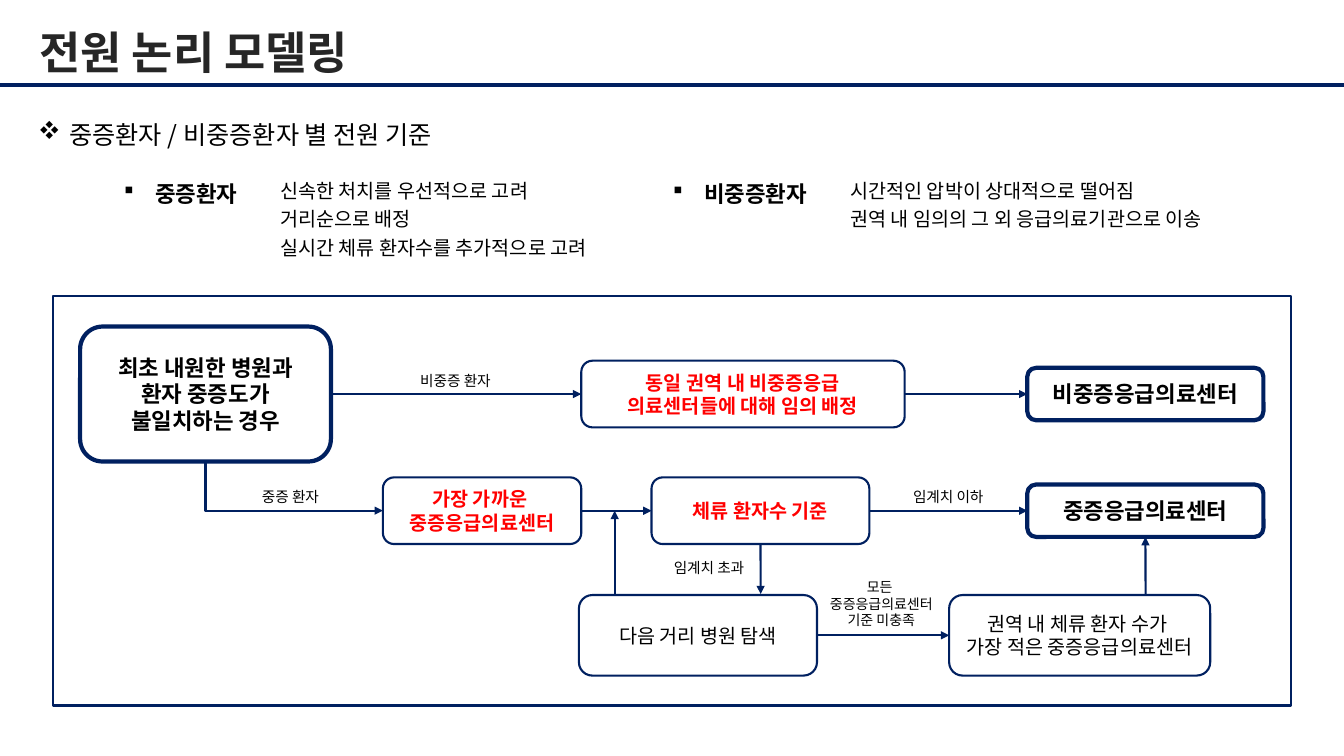
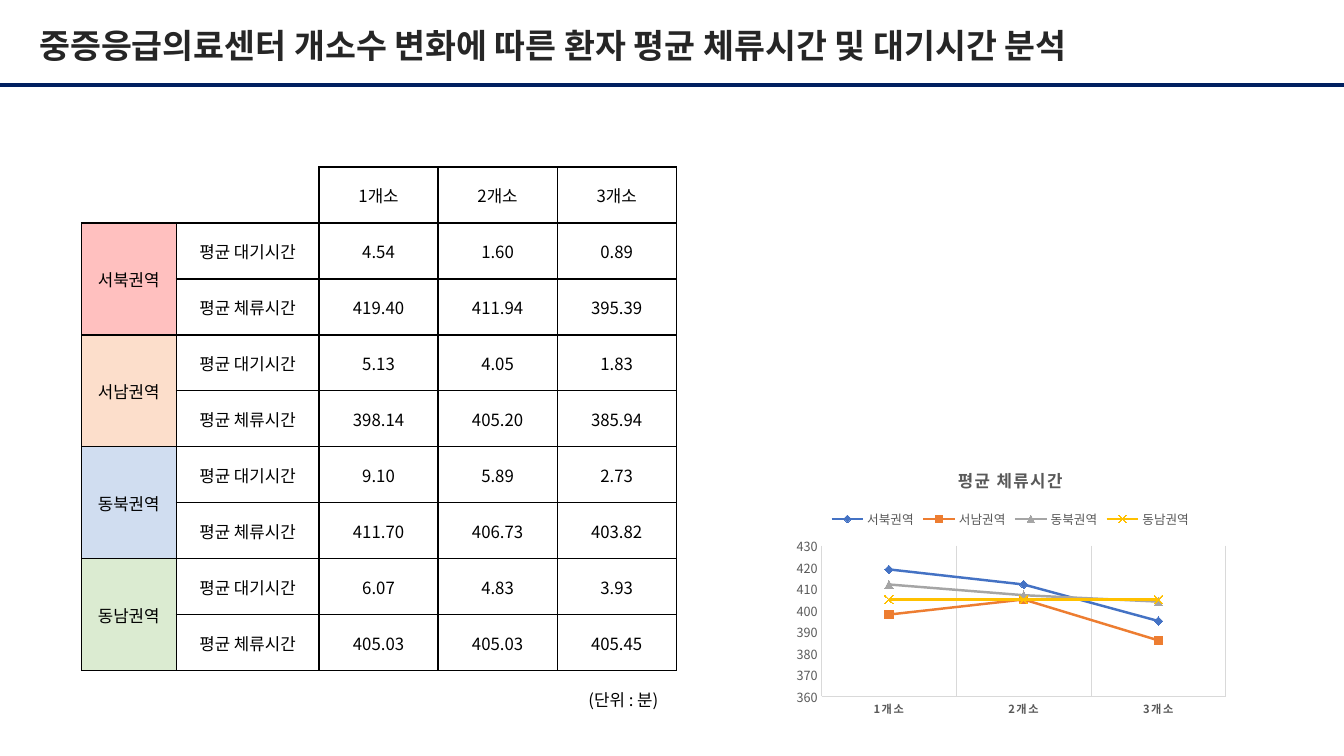
from lxml.etree import SubElement
from pptx import Presentation
from pptx.chart.data import CategoryChartData
from pptx.dml.color import RGBColor
from pptx.enum.chart import (XL_CHART_TYPE as CT, XL_LEGEND_POSITION as LP,
                             XL_MARKER_STYLE as MS, XL_TICK_MARK as TM)
from pptx.enum.shapes import MSO_CONNECTOR as MC, MSO_SHAPE as MSH
from pptx.enum.text import MSO_ANCHOR as MA, PP_ALIGN as PA
from pptx.oxml.ns import qn
from pptx.util import Cm, Pt

# Shared style
W, H = 33.87, 19.05
COLORS = {"navy": "002060", "title": "262626", "black": "000000", "red": "FF0000",
          "grey": "595959", "rule": "D9D9D9", "northwest": "FFC0BF",
          "southwest": "FCDECB", "northeast": "D0DDF0", "southeast": "DBEBD1",
          "blue": "4472C4", "orange": "ED7D31", "silver": "A5A5A5", "gold": "FFC000"}
FONT, TITLE_FONT, BULLET_FONT = "Noto Sans CJK KR", "Calibri", "Wingdings"
DIAMONDS, SQUARE = "v", "§"  # bullet codes in the symbol font
TOP, LEFT, BOTTOM, RIGHT = range(4)

# Slide 1: criteria as (left, top, width, text, size, bold, bullet, indent)
CRITERIA_TITLE = "전원 논리 모델링"
CRITERIA = [
    (0.71, 2.72, 32.6, "중증환자 / 비중증환자 별 전원 기준", 18, False, DIAMONDS, 0.79),
    (1.6, 4.27, 14.4, "중증환자", 16, True, SQUARE, 2.06),
    (15.44, 4.27, 14.4, "비중증환자", 16, True, SQUARE, 2.06),
    (6.81, 4.27, 9.2, "신속한 처치를 우선적으로 고려\n거리순으로 배정\n"
     "실시간 체류 환자수를 추가적으로 고려", 14, False, None, 0),
    (21.18, 4.27, 10.9, "시간적인 압박이 상대적으로 떨어짐\n"
     "권역 내 임의의 그 외 응급의료기관으로 이송", 14, False, None, 0),
]
FRAME = (1.34, 7.46, 31.2, 10.32)

# Flow rows (centre lines) and box kinds: height, line, size, colour, bold
UPPER, MIDDLE, LOWER = 9.93, 12.87, 16.01
KINDS = {"start": (3.4, 3, 16, "black", True), "end": (1.32, 3, 16, "black", True),
         "rule": (1.68, 1.5, 14, "red", True), "search": (2.03, 1.5, 14, "black", False)}
BOXES = {  # name: (kind, left, row, width, text)
    "start": ("start", 2.02, UPPER, 6.32, "최초 내원한 병원과 환자 중증도가\n불일치하는 경우"),
    "random": ("rule", 14.65, UPPER, 8.15, "동일 권역 내 비중증응급\n의료센터들에 대해 임의 배정"),
    "minor": ("end", 25.89, UPPER, 5.95, "비중증응급의료센터"),
    "nearest": ("rule", 9.65, MIDDLE, 5.0, "가장 가까운 \n중증응급의료센터"),
    "count": ("rule", 16.42, MIDDLE, 5.49, "체류 환자수 기준"),
    "major": ("end", 25.89, MIDDLE, 5.95, "중증응급의료센터"),
    "next": ("search", 14.59, LOWER, 6.0, "다음 거리 병원 탐색"),
    "fewest": ("search", 23.92, LOWER, 6.58, "권역 내 체류 환자 수가 \n가장 적은 중증응급의료센터"),
}
LABELS = [  # centre x, centre y, width, text, size
    (11.48, 9.6, 3.35, "비중증 환자", 10.5), (7.32, 12.52, 3.35, "중증 환자", 10.5),
    (23.9, 12.52, 3.35, "임계치 이하", 10.5), (17.87, 14.3, 3.84, "임계치 초과", 10.5),
    (22.21, 15.21, 3.84, "모든 \n중증응급의료센터 기준 미충족", 10),
]
LABEL_H = 1.32
ARROWS = [  # an end is (box, side) or a point
    (("start", RIGHT), ("random", LEFT)), (("random", RIGHT), ("minor", LEFT)),
    (("nearest", RIGHT), ("count", LEFT)), (("count", RIGHT), ("major", LEFT)),
    (("next", RIGHT), ("fewest", LEFT)), (("count", BOTTOM), (19.17, 14.97)),
    ((15.49, 14.98), (15.49, MIDDLE)), ((28.87, 14.98), ("major", BOTTOM)),
]

# Slide 2: table and chart
ANALYSIS_TITLE = "중증응급의료센터 개소수 변화에 따른 환자 평균 체류시간 및 대기시간 분석"
COUNTS = ["1개소", "2개소", "3개소"]
MEASURES = ["평균 대기시간", "평균 체류시간"]
REGIONS = [  # name, cell colour, waiting, stay, line colour, marker
    ("서북권역", "northwest", (4.54, 1.60, 0.89), (419.40, 411.94, 395.39),
     "blue", MS.DIAMOND),
    ("서남권역", "southwest", (5.13, 4.05, 1.83), (398.14, 405.20, 385.94),
     "orange", MS.SQUARE),
    ("동북권역", "northeast", (9.10, 5.89, 2.73), (411.70, 406.73, 403.82),
     "silver", MS.TRIANGLE),
    ("동남권역", "southeast", (6.07, 4.83, 3.93), (405.03, 405.03, 405.45),
     "gold", MS.X),
]
COL_W, ROW_H = [2.39, 3.6, 3.0, 3.0, 3.0], 1.41
UNIT = "(단위 : 분)"
NO_STYLE = "{2D5ABB26-0587-4C30-8999-92F81FD0307C}"


def rgb(name):
    return RGBColor.from_string(COLORS[name])


def cms(*lengths):
    return [Cm(v) for v in lengths]


def set_font(font, size, color="black", bold=False, name=FONT):
    font.size, font.bold, font.name = Pt(size), bold, name
    font.color.rgb = rgb(color)


def write(p, text, *style):
    for i, line in enumerate(text.split("\n")):
        if i:
            p.add_line_break()
        r = p.add_run()
        r.text = line
        set_font(r.font, *style)


def add_text(slide, box, text, *style):
    tf = slide.shapes.add_textbox(*cms(*box)).text_frame
    tf.word_wrap = True
    write(tf.paragraphs[0], text, *style)
    return tf


def add_box(slide, preset, box, width=None):
    sp = slide.shapes.add_shape(preset, *cms(*box))
    sp.shadow.inherit = False
    sp.fill.background()
    if width:
        sp.line.color.rgb, sp.line.width = rgb("navy"), Pt(width)
    else:
        sp.line.fill.background()
    return sp


def add_round_box(slide, box, width, text, *style):
    sp = add_box(slide, MSH.ROUNDED_RECTANGLE, box, width)
    tf = sp.text_frame
    tf.word_wrap, tf.vertical_anchor = True, MA.MIDDLE
    tf.paragraphs[0].alignment = PA.CENTER
    write(tf.paragraphs[0], text, *style)
    return sp


def add_line(slide, start, end, width=1.5, arrow=None, kind=MC.STRAIGHT):
    cx = slide.shapes.add_connector(kind, *cms(*start, *end))
    cx.line.color.rgb, cx.line.width = rgb("navy"), Pt(width)
    spPr = cx._element.spPr
    if arrow:
        SubElement(spPr.find(qn("a:ln")), qn(arrow)).set("type", "triangle")
    SubElement(spPr, qn("a:effectLst"))
    return cx


def new_slide(prs, title, size):
    slide = prs.slides.add_slide(prs.slide_layouts[6])
    add_text(slide, (0.74, 0.51, 32.6, 1.6), title, size, "title", True, TITLE_FONT)
    add_line(slide, (0, 2.14), (W, 2.14), 3)
    return slide


def side_point(name, side):
    kind, x, cy, w, _ = BOXES[name]
    h = KINDS[kind][0]
    return [(x + w / 2, cy - h / 2), (x, cy), (x + w / 2, cy + h / 2), (x + w, cy)][side]


def join(slide, shapes, start, end, **look):
    ends = [side_point(*e) if e[0] in BOXES else e for e in (start, end)]
    cx = add_line(slide, *ends, **look)
    for e, connect in ((start, cx.begin_connect), (end, cx.end_connect)):
        if e[0] in BOXES:
            connect(shapes[e[0]], e[1])
    return cx


def build_criteria(prs):
    slide = new_slide(prs, CRITERIA_TITLE, 32)
    for x, y, w, text, size, bold, bullet, indent in CRITERIA:
        p = add_text(slide, (x, y, w, 1.1), text, size, "black", bold).paragraphs[0]
        if bullet:
            pPr = p._p.get_or_add_pPr()
            pPr.set("marL", str(Cm(indent)))
            pPr.set("indent", str(-Cm(0.79)))
            SubElement(pPr, qn("a:buFont"), typeface=BULLET_FONT, charset="2")
            SubElement(pPr, qn("a:buChar")).set("char", bullet)
        p.line_spacing = 1.2
    add_box(slide, MSH.RECTANGLE, FRAME, 1.5)

    # Flow boxes
    shapes = {}
    for name, (kind, x, cy, w, text) in BOXES.items():
        h, line, *style = KINDS[kind]
        shapes[name] = add_round_box(slide, (x, cy - h / 2, w, h), line, text, *style)

    # Arrows; the bent one is drawn from its tip
    for start, end in ARROWS:
        join(slide, shapes, start, end, arrow="a:tailEnd")
    bent = join(slide, shapes, ("nearest", LEFT), ("start", BOTTOM),
                arrow="a:headEnd", kind=MC.ELBOW)
    bent._element.spPr.find(qn("a:prstGeom")).set("prst", "bentConnector2")

    for cx, cy, w, text, size in LABELS:
        add_round_box(slide, (cx - w / 2, cy - LABEL_H / 2, w, LABEL_H), None, text, size)


def fill_cell(cell, text="", color=None, sides="LRTB"):
    cell.margin_left = cell.margin_right = cell.margin_top = Cm(0.03)
    cell.margin_bottom = 0
    cell.vertical_anchor = MA.MIDDLE
    tcPr = cell._tc.get_or_add_tcPr()
    for side in sides:
        ln = SubElement(tcPr, qn("a:ln" + side), w=str(Pt(1)))
        SubElement(SubElement(ln, qn("a:solidFill")), qn("a:srgbClr")).set("val", COLORS["black"])
    if color:
        cell.fill.solid()
        cell.fill.fore_color.rgb = rgb(color)
    else:
        cell.fill.background()
    if text:
        cell.text_frame.paragraphs[0].alignment = PA.CENTER
        write(cell.text_frame.paragraphs[0], text, 12)


def build_table(slide):
    rows = 1 + len(REGIONS) * len(MEASURES)
    tbl = slide.shapes.add_table(rows, len(COL_W), *cms(2.05, 4.21, sum(COL_W), rows * ROW_H)).table
    tbl.first_row = tbl.horz_banding = False
    tbl._tbl.tblPr.find(qn("a:tableStyleId")).text = NO_STYLE
    for col, w in zip(tbl.columns, COL_W):
        col.width = Cm(w)
    for row in tbl.rows:
        row.height = Cm(ROW_H)
    fill_cell(tbl.cell(0, 0), sides="B")
    fill_cell(tbl.cell(0, 1), sides="RB")
    for c, count in enumerate(COUNTS, 2):
        fill_cell(tbl.cell(0, c), count)
    for i, (region, color, *values, _, _) in enumerate(REGIONS):
        top = 1 + i * len(MEASURES)
        tbl.cell(top, 0).merge(tbl.cell(top + 1, 0))
        for k, (measure, vals) in enumerate(zip(MEASURES, values)):
            fill_cell(tbl.cell(top + k, 0), "" if k else region, color)
            fill_cell(tbl.cell(top + k, 1), measure)
            for c, v in enumerate(vals, 2):
                fill_cell(tbl.cell(top + k, c), f"{v:.2f}")


def place(element, index, box, inner=False):
    for old in element.findall(qn("c:layout")):
        element.remove(old)
    layout = element.makeelement(qn("c:layout"))
    element.insert(index, layout)
    manual = SubElement(layout, qn("c:manualLayout"))
    parts = [("layoutTarget", "inner")] if inner else []
    parts += [("xMode", "edge"), ("yMode", "edge"), *zip("xywh", box)]
    for tag, val in parts:
        SubElement(manual, qn("c:" + tag)).set("val", str(val))


def build_chart(slide):
    data = CategoryChartData(number_format="0")
    data.categories = COUNTS
    for region, _, _, stay, _, _ in REGIONS:
        data.add_series(region, [round(v) for v in stay])
    chart = slide.shapes.add_chart(CT.LINE_MARKERS, *cms(19.8, 11.38, 11.32, 6.78), data).chart
    set_font(chart.font, 10)

    # Title and legend
    p = chart.chart_title.text_frame.paragraphs[0]
    write(p, MEASURES[1], 12, "grey", True)
    p.runs[0].font._element.set("spc", "100")
    chart.has_legend = True
    legend = chart.legend
    legend.position, legend.include_in_layout = LP.TOP, False
    set_font(legend.font, 9, "grey")
    place(legend._element, 1, (0.09, 0.21, 0.82, 0.08))
    place(chart._chartSpace.chart.plotArea, 0, (0.08, 0.35, 0.9, 0.56), inner=True)

    # Axes
    cat, val = chart.category_axis, chart.value_axis
    val.minimum_scale, val.maximum_scale, val.major_unit = 360, 430, 10
    val.tick_labels.number_format, val.tick_labels.number_format_is_linked = "0", False
    cat.has_major_gridlines, val.has_major_gridlines = True, False
    for axis, size, bold in ((cat, 8, True), (val, 9, False)):
        axis.major_tick_mark = axis.minor_tick_mark = TM.NONE
        set_font(axis.tick_labels.font, size, "grey", bold)
    cat.tick_labels.font._element.set("spc", "100")
    for line in (cat.format.line, val.format.line, cat.major_gridlines.format.line):
        line.color.rgb, line.width = rgb("rule"), Pt(0.75)

    # Series
    for ser, (*_, color, marker) in zip(chart.plots[0].series, REGIONS):
        ser.smooth = False
        ser.format.line.color.rgb, ser.format.line.width = rgb(color), Pt(1.75)
        ser.marker.style, ser.marker.size = marker, 6
        fmt = ser.marker.format
        fmt.line.color.rgb = rgb(color)
        if marker == MS.X:
            fmt.fill.background()
        else:
            fmt.fill.solid()
            fmt.fill.fore_color.rgb = rgb(color)


def build_analysis(prs):
    slide = new_slide(prs, ANALYSIS_TITLE, 24)
    build_table(slide)
    add_text(slide, (14.58, 17.25, 2.44, 0.76), UNIT, 12)
    build_chart(slide)


def main():
    prs = Presentation()
    prs.slide_width, prs.slide_height = cms(W, H)
    build_criteria(prs)
    build_analysis(prs)
    prs.save("out.pptx")


if __name__ == "__main__":
    main()
